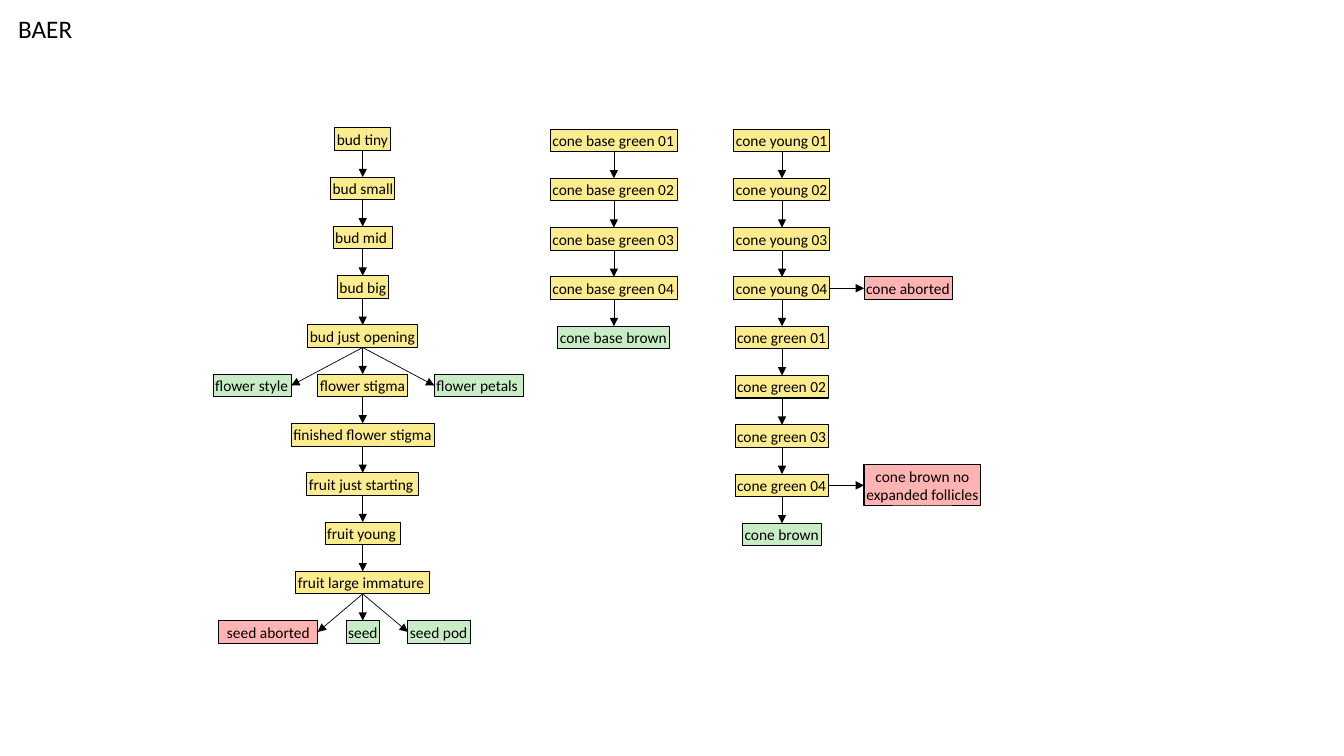
from lxml.etree import SubElement
from pptx import Presentation
from pptx.dml.color import RGBColor
from pptx.enum.shapes import MSO_CONNECTOR, MSO_SHAPE
from pptx.enum.text import MSO_ANCHOR, MSO_AUTO_SIZE, PP_ALIGN
from pptx.oxml.ns import qn
from pptx.util import Pt

COLOURS = {"stage": "FBEC8F", "mature": "C8ECC6", "aborted": "FFB3B3", "ink": "000000"}
FONT = "Calibri"
ROW_PITCH = 35.2
BOX_HEIGHT = 16.1
TOP, LEFT, BOTTOM, RIGHT = range(4)  # connection sites of a rectangle


def colour(name):
    return RGBColor.from_string(COLOURS[name])


def write(frame, text, size=11, align=PP_ALIGN.LEFT, inset=(1.44, 1.44),
          auto_size=MSO_AUTO_SIZE.NONE):
    """Fill a text frame, one paragraph for each line of text."""
    frame.word_wrap = False
    frame.auto_size = auto_size
    frame.vertical_anchor = MSO_ANCHOR.MIDDLE
    frame.margin_left = frame.margin_right = Pt(inset[0])
    frame.margin_top = frame.margin_bottom = Pt(inset[1])
    frame.text = text
    for para in frame.paragraphs:
        para.alignment = align
        for span in para.runs:
            span.font.name = FONT
            span.font.size = Pt(size)
            span.font.color.rgb = colour("ink")


class FlowPage:
    def __init__(self, deck):
        self.page = deck.slides.add_slide(deck.slide_layouts[5])

    def title(self, text):
        box = self.page.shapes.title
        box.left, box.top, box.width, box.height = Pt(5.8), Pt(6), Pt(53.3), Pt(29)
        write(box.text_frame, text, size=18, inset=(7.2, 3.6),
              auto_size=MSO_AUTO_SIZE.SHAPE_TO_FIT_TEXT)

    def box(self, text, left, middle, width, kind="stage", height=BOX_HEIGHT,
            align=PP_ALIGN.LEFT):
        box = self.page.shapes.add_shape(
            MSO_SHAPE.RECTANGLE, Pt(left), Pt(middle - height / 2), Pt(width), Pt(height))
        box.shadow.inherit = False
        box.fill.solid()
        box.fill.fore_color.rgb = colour(kind)
        box.line.color.rgb = colour("ink")
        box.line.width = Pt(0.75)
        write(box.text_frame, text, align=align)
        return box

    def arrow(self, start, start_site, end, end_site):
        line = self.page.shapes.add_connector(MSO_CONNECTOR.STRAIGHT, 0, 0, 0, 0)
        line.begin_connect(start, start_site)
        line.end_connect(end, end_site)
        line.line.color.rgb = colour("ink")
        line.line.width = Pt(0.5)
        SubElement(line.line._get_or_add_ln(), qn("a:tailEnd"), type="triangle")
        SubElement(line._element.spPr, qn("a:effectLst"))

    def chain(self, centre, first_middle, stages):
        """Stack centred boxes at equal steps, each pointing to the next."""
        boxes = []
        for row, (text, width, kind) in enumerate(stages):
            middle = first_middle + row * ROW_PITCH
            boxes.append(self.box(text, centre - width / 2, middle, width, kind))
        for upper, lower in zip(boxes, boxes[1:]):
            self.arrow(upper, BOTTOM, lower, TOP)
        return boxes


def main():
    deck = Presentation()
    deck.slide_width, deck.slide_height = Pt(960), Pt(540)
    flow = FlowPage(deck)
    flow.title("BAER")

    # Main columns: text, box width, kind
    flower_top, cone_top = 99.4, 100.3
    flower = flow.chain(259.1, flower_top, [
        ("bud tiny", 40, "stage"),
        ("bud small", 46, "stage"),
        ("bud mid", 42.2, "stage"),
        ("bud big", 36.2, "stage"),
        ("bud just opening", 78.5, "stage"),
        ("flower stigma", 64, "stage"),
        ("finished flower stigma", 102, "stage"),
        ("fruit just starting", 79.8, "stage"),
        ("fruit young", 53.8, "stage"),
        ("fruit large immature", 95.6, "stage"),
        ("seed", 23.8, "mature"),
    ])
    flow.chain(438.5, cone_top,
               [(f"cone base green {n:02}", 90.7, "stage") for n in range(1, 5)]
               + [("cone base brown", 80, "mature")])
    cone = flow.chain(558.6, cone_top,
                      [(f"cone young {n:02}", 68.6, "stage") for n in range(1, 5)]
                      + [(f"cone green {n:02}", 67, "stage") for n in range(1, 5)]
                      + [("cone brown", 56.3, "mature")])

    # Side branches: parent, site it leaves from, row, text, left, width, kind
    centred = {"align": PP_ALIGN.CENTER}
    branches = [
        (flower[4], BOTTOM, 5, "flower style", 152.2, 55.8, "mature", LEFT, {}),
        (flower[4], BOTTOM, 5, "flower petals", 310.3, 63.6, "mature", RIGHT, {}),
        (flower[9], BOTTOM, 10, "seed aborted", 156.4, 70.6, "aborted", LEFT, centred),
        (flower[9], BOTTOM, 10, "seed pod", 291.4, 44.8, "mature", RIGHT, {}),
        (cone[3], RIGHT, 3, "cone aborted", 617.2, 63.4, "aborted", RIGHT, {}),
        (cone[7], RIGHT, 7, "cone brown no\nexpanded follicles", 617.2, 83.5, "aborted",
         RIGHT, {"height": 29.5, **centred}),
    ]
    for parent, site, row, text, left, width, kind, side, extra in branches:
        first_middle = cone_top if parent in cone else flower_top
        box = flow.box(text, left, first_middle + row * ROW_PITCH, width, kind, **extra)
        flow.arrow(parent, site, box, LEFT if side == RIGHT else RIGHT)

    deck.save("out.pptx")


if __name__ == "__main__":
    main()
